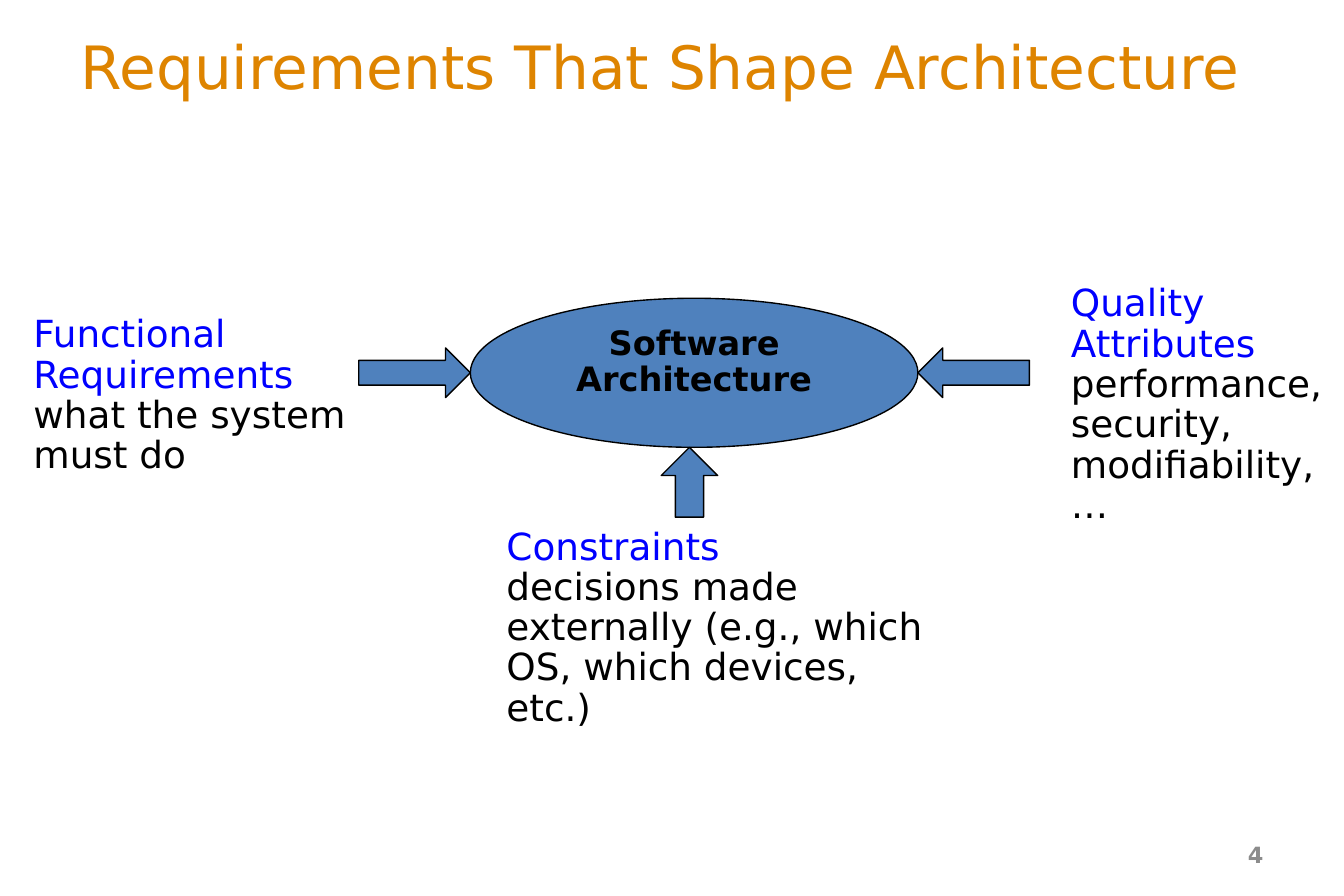
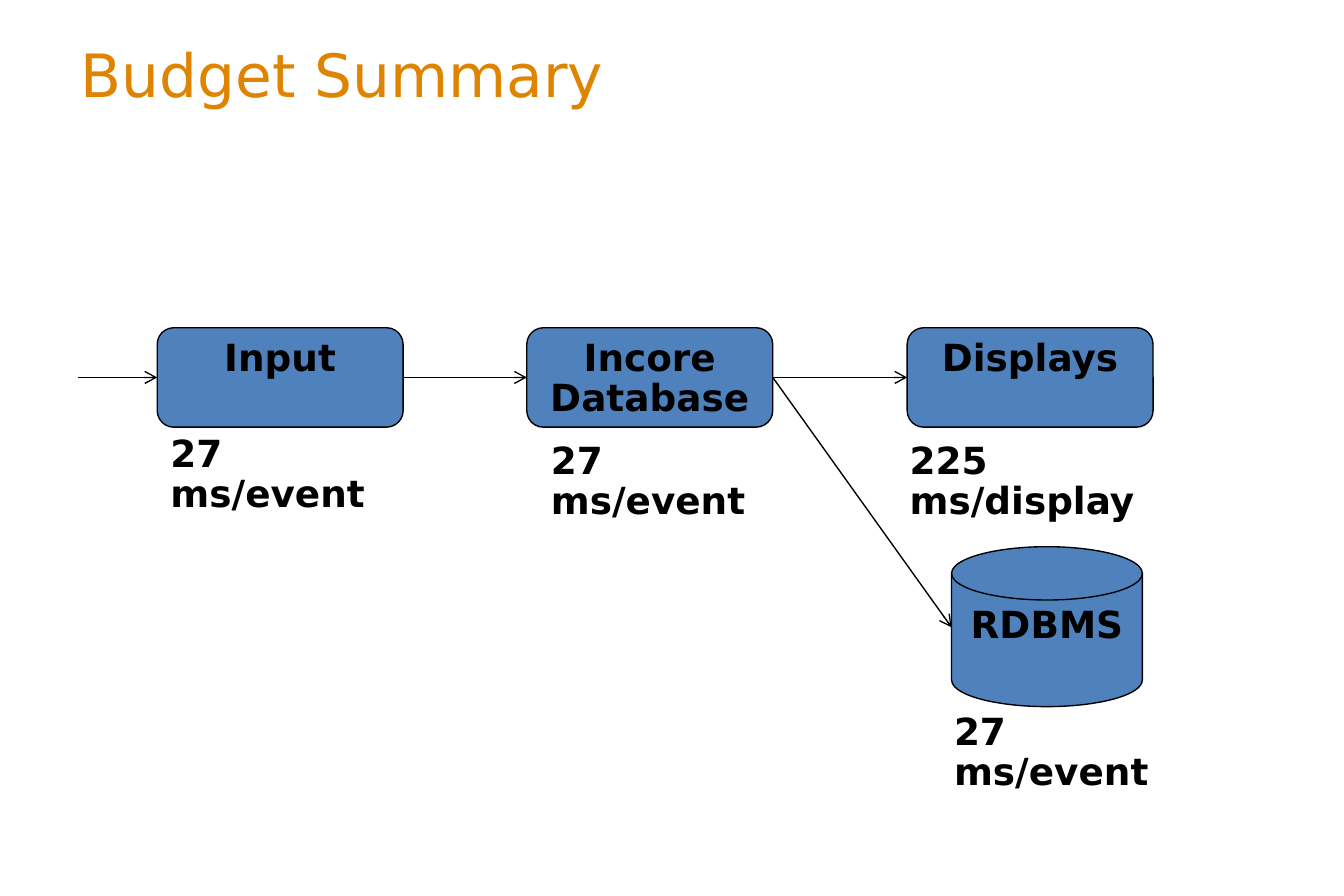
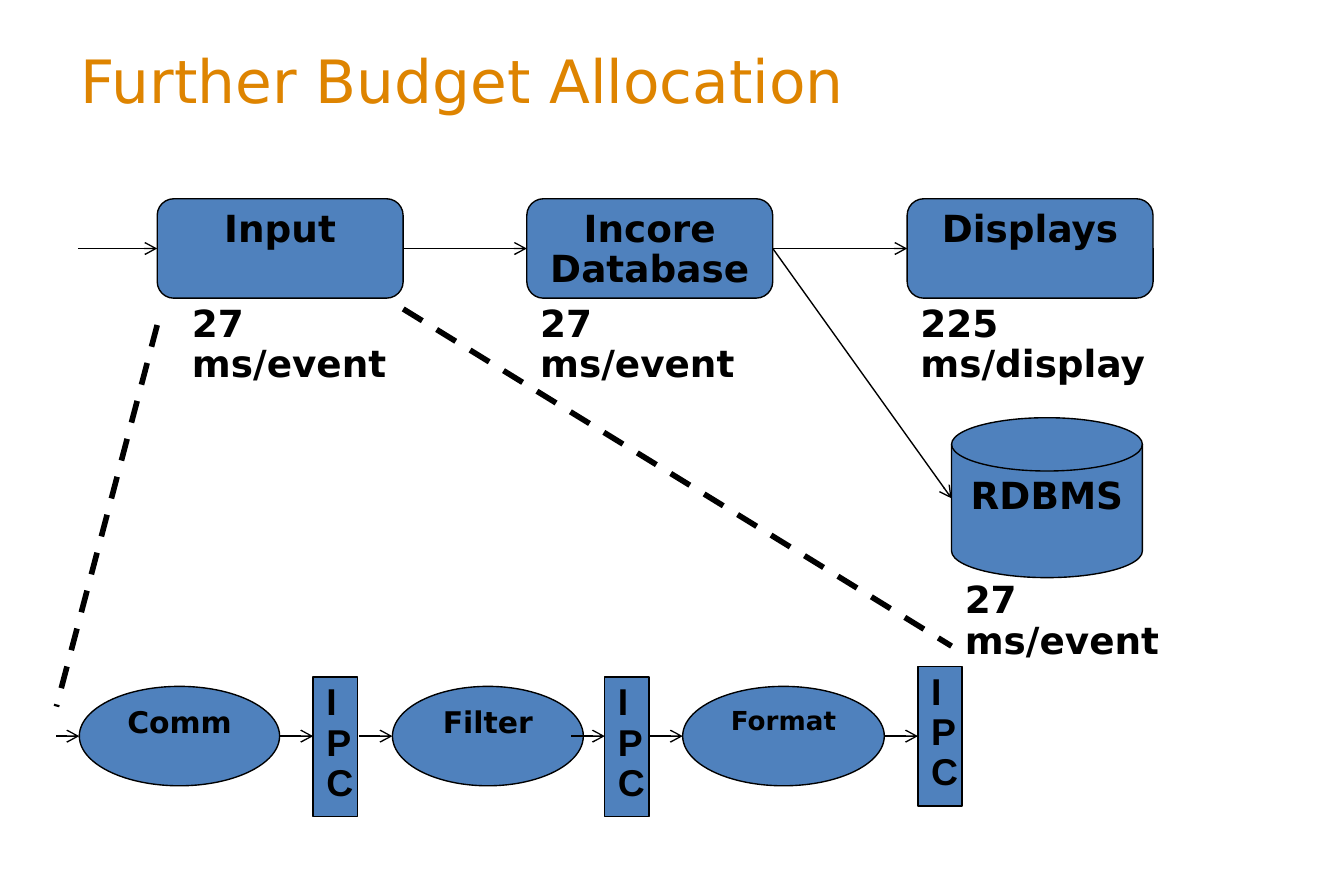
from dataclasses import dataclass

from lxml import etree
from pptx import Presentation
from pptx import util as u
from pptx.dml.color import RGBColor
from pptx.enum import dml, shapes, text
from pptx.oxml.ns import qn


@dataclass(frozen=True)
class Theme:
    font: str = "DejaVu Sans"
    narrow_font: str = "Arial"
    title: str = "DE8400"
    heading: str = "0000FF"
    ink: str = "000000"
    fill: str = "4F81BD"
    muted: str = "8C8C8C"
    title_size: int = 32
    body_size: int = 20
    centre_size: int = 18
    step_size: int = 16
    small_step_size: int = 14
    number_size: int = 12
    hairline: float = 0.75
    heavy_line: float = 3
    line_spacing: float = 0.9


KIND = shapes.MSO_SHAPE
ALIGN = text.PP_ALIGN


class Builder:
    """Holds the deck, its style and the slide being filled."""

    def __init__(self, theme):
        self.theme = theme
        self.deck = Presentation()
        self.deck.slide_width = u.Inches(10)
        self.deck.slide_height = u.Inches(6.67)
        self.page = None

    def place(self, at):
        return [u.Inches(length) for length in at]

    def new_page(self, title, top, height):
        self.page = self.deck.slides.add_slide(self.deck.slide_layouts[5])
        box = self.page.shapes.title
        box.left, box.top, box.width, box.height = self.place((0.5, top, 9, height))
        frame = box.text_frame
        frame.auto_size = text.MSO_AUTO_SIZE.NONE
        frame.vertical_anchor = text.MSO_ANCHOR.MIDDLE
        para = frame.paragraphs[0]
        para.alignment = ALIGN.LEFT
        self.span(para, title, self.theme.title, self.theme.title_size)

    def span(self, para, words, color=None, size=None, bold=False, font=None):
        """Add words as runs, with a line break at each newline."""
        for index, line in enumerate(words.split("\n")):
            if index:
                para.add_line_break()
            run = para.add_run()
            run.text = line
            run.font.name = font or self.theme.font
            run.font.size = u.Pt(size or self.theme.body_size)
            run.font.bold = bold
            run.font.color.rgb = RGBColor.from_string(color or self.theme.ink)

    def text_box(self, at, paragraphs, bold=False):
        """Each paragraph is a list of (words, colour) pairs."""
        frame = self.page.shapes.add_textbox(*self.place(at)).text_frame
        frame.word_wrap = True
        frame.auto_size = text.MSO_AUTO_SIZE.SHAPE_TO_FIT_TEXT
        for index, spans in enumerate(paragraphs):
            para = frame.add_paragraph() if index else frame.paragraphs[0]
            para.line_spacing = self.theme.line_spacing
            for words, color in spans:
                self.span(para, words, color, bold=bold)

    def label(self, at, words):
        self.text_box(at, [[(words, self.theme.ink)]], bold=True)

    def page_number(self, number):
        box = self.page.shapes.add_textbox(*self.place((7.17, 6.18, 2.33, 0.36)))
        frame = box.text_frame
        frame.word_wrap = True
        frame.vertical_anchor = text.MSO_ANCHOR.MIDDLE
        para = frame.paragraphs[0]
        para.alignment = ALIGN.RIGHT
        self.span(para, number, self.theme.muted, self.theme.number_size, bold=True)

    def shape(self, kind, at, words="", size=None, font=None, align=ALIGN.CENTER):
        box = self.page.shapes.add_shape(kind, *self.place(at))
        box.shadow.inherit = False
        box.fill.solid()
        box.fill.fore_color.rgb = RGBColor.from_string(self.theme.fill)
        box.line.color.rgb = RGBColor.from_string(self.theme.ink)
        box.line.width = u.Pt(self.theme.hairline)
        if words:
            frame = box.text_frame
            frame.word_wrap = True
            frame.vertical_anchor = text.MSO_ANCHOR.TOP
            para = frame.paragraphs[0]
            para.alignment = align
            para.line_spacing = self.theme.line_spacing
            self.span(para, words, size=size, bold=True, font=font)

    def line(self, start, end, dashed=False):
        """Draw a thin arrow, or a heavy dashed line without a head."""
        link = self.page.shapes.add_connector(
            shapes.MSO_CONNECTOR.STRAIGHT, *self.place(start + end))
        link.line.color.rgb = RGBColor.from_string(self.theme.ink)
        link.line.width = u.Pt(
            self.theme.heavy_line if dashed else self.theme.hairline)
        properties = link._element.spPr
        if dashed:
            link.line.dash_style = dml.MSO_LINE.DASH
        else:
            outline = properties.find(qn("a:ln"))
            etree.SubElement(outline, qn("a:tailEnd"), type="arrow")
        etree.SubElement(properties, qn("a:effectLst"))

    def pipeline(self, top, label_places):
        """Three stages and a data store, with a time budget under each."""
        middle = top + 0.37
        for left, name in ((1.17, "Input"), (3.92, "Incore Database"),
                           (6.75, "Displays")):
            self.shape(KIND.ROUNDED_RECTANGLE, (left, top, 1.83, 0.74), name)
        self.shape(KIND.FLOWCHART_MAGNETIC_DISK,
                   (7.08, top + 1.63, 1.42, 1.19), "RDBMS")
        for start, end in ((0.58, 1.17), (3, 3.92), (5.75, 6.75)):
            self.line((start, middle), (end, middle))
        self.line((5.75, middle), (7.08, top + 2.23))
        budgets = ((1.75, "27 ms/event"), (1.75, "27 ms/event"),
                   (2.17, "225 ms/display"), (1.75, "27 ms/event"))
        for place, (width, budget) in zip(label_places, budgets):
            self.label((*place, width, 0.71), budget)


theme = Theme()
builder = Builder(theme)

# Slide 1: three kinds of requirement point at the architecture
builder.new_page("Requirements That Shape Architecture", 0.27, 0.44)
builder.shape(KIND.OVAL, (3.5, 2.22, 3.33, 1.11), "Software Architecture",
              theme.centre_size)
for kind, at in ((KIND.RIGHT_ARROW, (2.67, 2.59, 0.83, 0.37)),
                 (KIND.LEFT_ARROW, (6.83, 2.59, 0.83, 0.37)),
                 (KIND.UP_ARROW, (4.92, 3.33, 0.42, 0.52))):
    builder.shape(kind, at)
builder.text_box((3.67, 3.88, 3.5, 1.62), [
    [("Constraints\n", theme.heading),
     ("decisions made externally (e.g., which OS, which devices, etc.)",
      theme.ink)]])
qualities = ("performance,", "security,", "modifiability,", "…")
builder.text_box((7.87, 2.07, 2.13, 1.92), [
    [("Quality\nAttributes", theme.heading)],
    *[[(quality, theme.ink)] for quality in qualities]])
builder.text_box((0.15, 2.3, 2.58, 1.32), [
    [("Functional Requirements", theme.heading)],
    [("what the system must do", theme.ink)]])
builder.page_number("4")

# Slide 2: the budget of each stage
builder.new_page("Budget Summary", 0.21, 0.67)
builder.pipeline(2.44, ((1.17, 3.19), (4, 3.24), (6.67, 3.24), (7, 5.26)))

# Slide 3: the input stage opened up into its steps
builder.new_page("Further Budget Allocation", 0.26, 0.67)
builder.pipeline(1.48, ((1.33, 2.22), (3.92, 2.22), (6.75, 2.22), (7.08, 4.28)))
for left, width, name, size in ((0.59, 1.49, "Comm", theme.step_size),
                                (2.92, 1.42, "Filter", theme.step_size),
                                (5.08, 1.5, "Format", theme.small_step_size)):
    builder.shape(KIND.OVAL, (left, 5.11, width, 0.74), name, size)
for left, top in ((2.33, 5.04), (4.5, 5.04), (6.83, 4.96)):
    builder.shape(KIND.RECTANGLE, (left, top, 0.33, 1.04), "IPC",
                  font=theme.narrow_font, align=ALIGN.LEFT)
for start, end in ((0.42, 0.59), (2.08, 2.33), (2.67, 2.92),
                   (4.25, 4.5), (4.83, 5.08), (6.58, 6.83)):
    builder.line((start, 5.48), (end, 5.48))
builder.line((1.17, 2.42), (0.42, 5.26), dashed=True)
builder.line((3, 2.3), (7.08, 4.81), dashed=True)

builder.deck.save("out.pptx")
